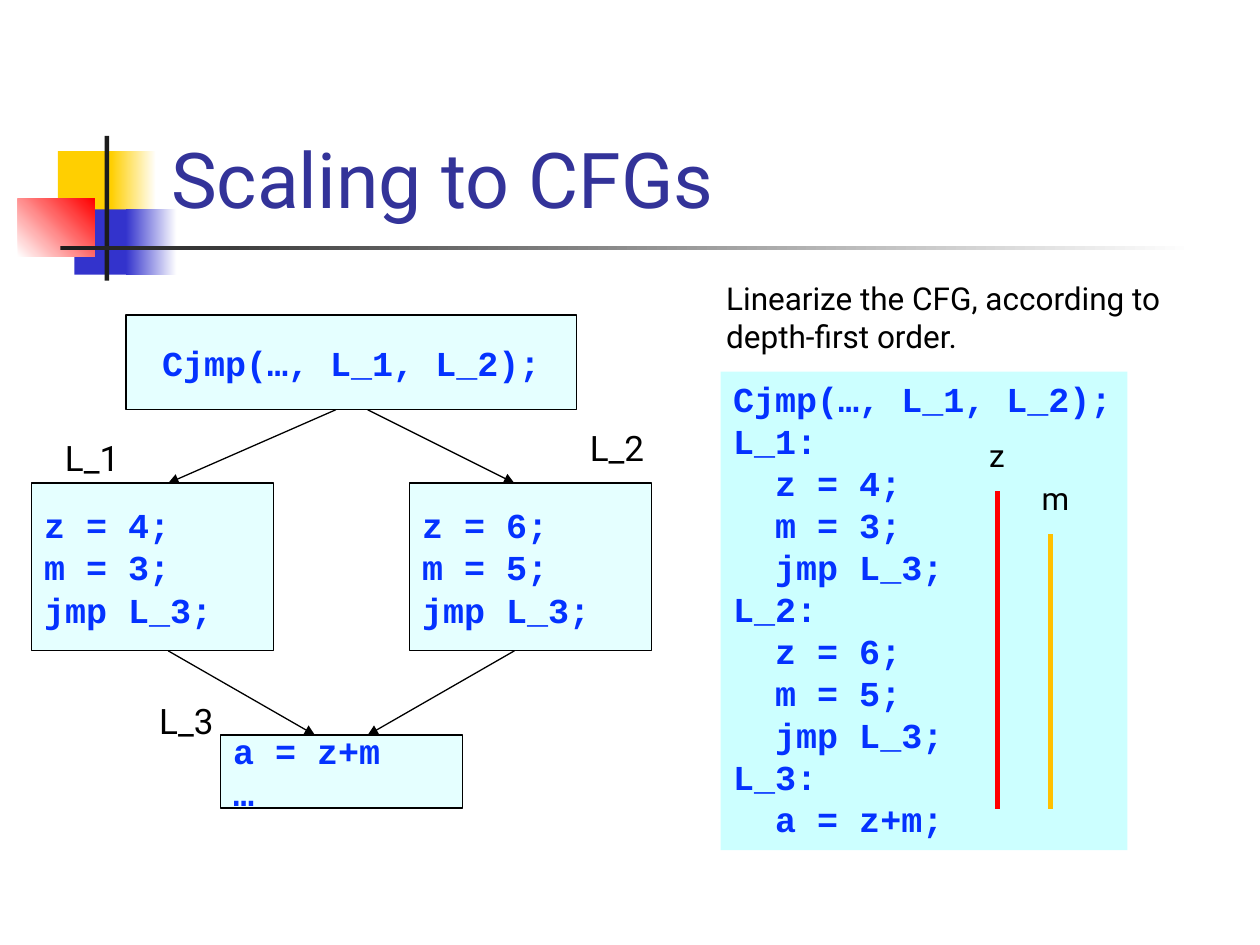
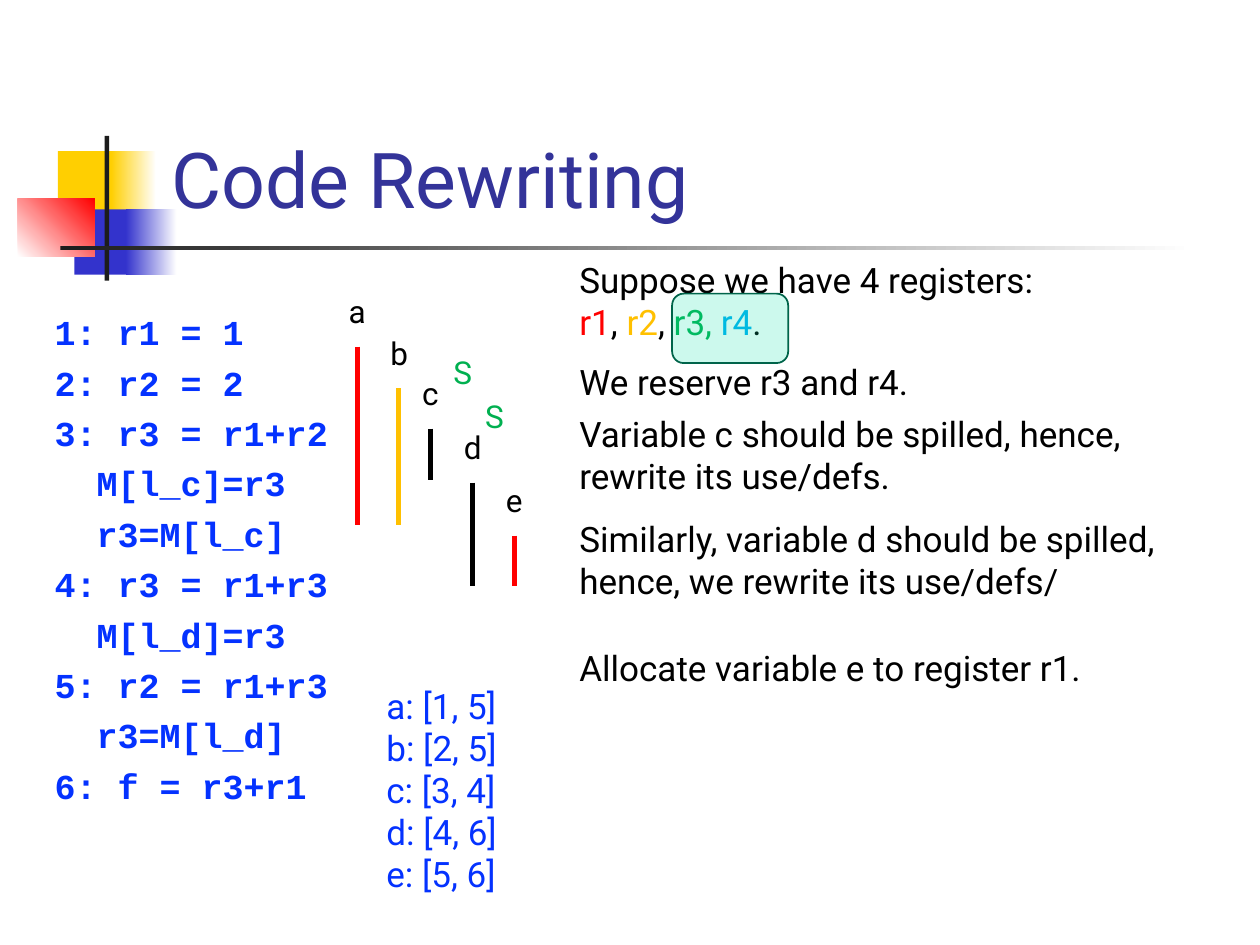
from lxml import etree
from pptx import Presentation
from pptx.dml.color import RGBColor
from pptx.enum.shapes import MSO_CONNECTOR, MSO_SHAPE
from pptx.enum.text import MSO_ANCHOR, PP_ALIGN
from pptx.oxml.ns import qn
from pptx.util import Cm, Pt

RECTANGLE = MSO_SHAPE.RECTANGLE
ROUNDED = MSO_SHAPE.ROUNDED_RECTANGLE
STRAIGHT = MSO_CONNECTOR.STRAIGHT
TOP, MIDDLE, BOTTOM = MSO_ANCHOR.TOP, MSO_ANCHOR.MIDDLE, MSO_ANCHOR.BOTTOM
LEFT, CENTER = PP_ALIGN.LEFT, PP_ALIGN.CENTER

BLACK = RGBColor(0x00, 0x00, 0x00)
WHITE = RGBColor(0xFF, 0xFF, 0xFF)
CHARCOAL = RGBColor(0x1C, 0x1C, 0x1C)
YELLOW = RGBColor(0xFF, 0xCF, 0x01)
BLUE = RGBColor(0x33, 0x33, 0xCC)
RED = RGBColor(0xFF, 0x00, 0x00)
TITLE_BLUE = RGBColor(0x33, 0x33, 0x99)
CODE_BLUE = RGBColor(0x04, 0x32, 0xFF)
PALE_CYAN = RGBColor(0xCC, 0xFF, 0xFF)
AMBER = RGBColor(0xFF, 0xC0, 0x00)
GREEN = RGBColor(0x00, 0xB0, 0x50)
SKY = RGBColor(0x00, 0xB0, 0xF0)
MINT = RGBColor(0x00, 0xE4, 0xA8)
DARK_GREEN = RGBColor(0x00, 0x64, 0x4A)

TITLE = {"name": "Roboto", "size": Pt(44)}
BODY = {"name": "Roboto", "size": Pt(20)}
SMALL = {"name": "Roboto", "size": Pt(18)}
CODE = {"name": "Courier New", "size": Pt(20), "bold": True}


def write_text(shape, lines, font_format, color, anchor=TOP, alignment=LEFT, gap=0):
    """Fill a shape with lines; a line is a string or a list of (text, color) runs."""
    frame = shape.text_frame
    frame.word_wrap = True
    frame.vertical_anchor = anchor
    for index, line in enumerate(lines):
        paragraph = frame.add_paragraph() if index else frame.paragraphs[0]
        paragraph.alignment = alignment
        if index and gap:
            paragraph.space_before = Pt(gap)
        for text, run_color in [(line, color)] if isinstance(line, str) else line:
            run = paragraph.add_run()
            run.text = text
            run.font.color.rgb = run_color
            for name, value in font_format.items():
                setattr(run.font, name, value)


def add_line(slide, start, end, color, width, arrow=False):
    line = slide.shapes.add_connector(STRAIGHT, *map(Cm, start + end))
    line.line.color.rgb = color
    line.line.width = Pt(width)
    properties = line._element.spPr
    if arrow:
        etree.SubElement(properties.find(qn("a:ln")), qn("a:tailEnd"), type="triangle")
    etree.SubElement(properties, qn("a:effectLst"))


presentation = Presentation()
presentation.slide_width = Cm(25.4)
presentation.slide_height = Cm(19.05)

# Title and ornament shared by both slides: box, start colour, end colour, angle
ornament = [
    ((1.17, 3.05, 1.22, 1.32), YELLOW, None, 0),
    ((2.24, 3.05, 0.91, 1.32), YELLOW, WHITE, 0),
    ((1.5, 4.22, 1.17, 1.32), BLUE, None, 0),
    ((2.54, 4.22, 1.02, 1.32), BLUE, WHITE, 0),
    ((0.36, 4.01, 1.55, 1.17), WHITE, RED, 45),
    ((2.11, 2.74, 0.09, 2.92), CHARCOAL, None, 0),
    ((1.22, 4.95, 22.86, 0.09), CHARCOAL, WHITE, 0),
]
slides = []
for title in ("Scaling to CFGs", "Code Rewriting"):
    slide = presentation.slides.add_slide(presentation.slide_layouts[6])
    slides.append(slide)
    for box, start_color, end_color, angle in ornament:
        shape = slide.shapes.add_shape(RECTANGLE, *map(Cm, box))
        shape.shadow.inherit = False
        shape.line.fill.background()
        if end_color is None:
            shape.fill.solid()
            shape.fill.fore_color.rgb = start_color
            continue
        shape.fill.gradient()
        shape.fill.gradient_angle = angle
        stops = shape.fill.gradient_stops
        for stop, color, position in zip(stops, (start_color, end_color), (0, 1)):
            stop.color.rgb = color
            stop.position = position
    title_box = slide.shapes.add_textbox(Cm(3.2), Cm(0.58), Cm(21.64), Cm(4.06))
    write_text(title_box, [title], TITLE, TITLE_BLUE, BOTTOM)
cfg_slide, rewriting_slide = slides

# Plain text: slide, box, lines, format, colour, gap between lines
rewritten_code = [
    "1: r1 = 1",
    "2: r2 = 2",
    "3: r3 = r1+r2",
    "  M[l_c]=r3",
    "  r3=M[l_c]",
    "4: r3 = r1+r3",
    "  M[l_d]=r3",
    "5: r2 = r1+r3",
    "  r3=M[l_d]",
    "6: f = r3+r1",
]
intervals = ["a: [1, 5]", "b: [2, 5]", "c: [3, 4]", "d: [4, 6]", "e: [5, 6]"]
registers = [("r1", RED), (", ", BLACK), ("r2", AMBER), (", ", BLACK),
             ("r3, ", GREEN), ("r4", SKY), (".", BLACK)]
texts = [
    (cfg_slide, (14.39, 5.5, 10.44, 1.8),
     ["Linearize the CFG, according to depth-first order."], SMALL, BLACK, 0),
    (rewriting_slide, (0.85, 6.14, 6.35, 10.41), rewritten_code, CODE, CODE_BLUE, 4.8),
    (rewriting_slide, (7.54, 13.67, 13.41, 4.52), intervals, BODY, CODE_BLUE, 0),
]
for label, left, top in (("L_1", 1.06, 8.68), ("L_2", 11.64, 8.47), ("L_3", 2.96, 13.97)):
    texts.append((cfg_slide, (left, top, 1.91, 1.09), [label], BODY, BLACK, 0))
for left, top in ((8.89, 6.99), (9.53, 7.87)):
    texts.append((rewriting_slide, (left, top, 1.27, 1.02), ["S"], SMALL, GREEN, 0))
for top, height, lines in (
    (5.08, 1.96, ["Suppose we have 4 registers:", registers]),
    (7.14, 1.12, ["We reserve r3 and r4."]),
    (8.2, 1.96, ["Variable c should be spilled, hence, rewrite its use/defs."]),
    (10.31, 1.96, ["Similarly, variable d should be spilled, hence, we rewrite its use/defs/"]),
    (12.9, 1.12, ["Allocate variable e to register r1."]),
):
    texts.append((rewriting_slide, (11.43, top, 13.41, height), lines, BODY, BLACK, 0))
for slide, box, lines, font_format, color, gap in texts:
    text_box = slide.shapes.add_textbox(*map(Cm, box))
    write_text(text_box, lines, font_format, color, gap=gap)

# Panels: slide, kind, box, fill, opacity in percent, outline, lines, anchor, alignment
linear_code = [
    "Cjmp(…, L_1, L_2);",
    "L_1:",
    "  z = 4;",
    "  m = 3;",
    "  jmp L_3;",
    "L_2:",
    "  z = 6;",
    "  m = 5;",
    "  jmp L_3;",
    "L_3:",
    "  a = z+m;",
]
panels = [
    (cfg_slide, RECTANGLE, (14.53, 7.49, 8.2, 9.65), PALE_CYAN, 100, None,
     linear_code, TOP, LEFT),
    (rewriting_slide, ROUNDED, (13.55, 5.92, 2.34, 1.4), MINT, 20, (DARK_GREEN, 1),
     [], MIDDLE, LEFT),
]
for box, lines, alignment in (
    ((2.54, 6.35, 9.09, 1.91), ["Cjmp(…, L_1, L_2);"], CENTER),
    ((0.64, 9.74, 4.87, 3.38), ["z = 4;", "m = 3;", "jmp L_3;"], LEFT),
    ((8.26, 9.74, 4.87, 3.38), ["z = 6;", "m = 5;", "jmp L_3;"], LEFT),
    ((4.45, 14.82, 4.87, 1.47), ["a = z+m", "…"], LEFT),
):
    panels.append((cfg_slide, RECTANGLE, box, PALE_CYAN, 50, (BLACK, 0.75),
                   lines, MIDDLE, alignment))
for slide, kind, box, fill, opacity, outline, lines, anchor, alignment in panels:
    panel = slide.shapes.add_shape(kind, *map(Cm, box))
    panel.shadow.inherit = False
    panel.fill.solid()
    panel.fill.fore_color.rgb = fill
    if opacity < 100:
        color_element = panel._element.spPr.find(qn("a:solidFill"))[0]
        etree.SubElement(color_element, qn("a:alpha"), val=str(opacity * 1000))
    if outline:
        panel.line.color.rgb = outline[0]
        panel.line.width = Pt(outline[1])
    else:
        panel.line.fill.background()
    write_text(panel, lines, CODE, CODE_BLUE, anchor, alignment)

# Control flow between the blocks
for start, end in (
    ((6.77, 8.26), (3.39, 9.74)),
    ((7.41, 8.26), (10.37, 9.74)),
    ((3.39, 13.12), (6.35, 14.82)),
    ((10.37, 13.12), (7.41, 14.82)),
):
    add_line(cfg_slide, start, end, BLACK, 0.75, arrow=True)

# Live ranges, each with its variable name above the bar
for slide, variable, x, top, bottom, color in (
    (cfg_slide, "z", 20.11, 9.9, 16.3, RED),
    (cfg_slide, "m", 21.17, 10.77, 16.3, AMBER),
    (rewriting_slide, "a", 7.2, 6.99, 10.58, RED),
    (rewriting_slide, "b", 8.04, 7.83, 10.58, AMBER),
    (rewriting_slide, "c", 8.68, 8.64, 9.68, BLACK),
    (rewriting_slide, "d", 9.52, 9.73, 11.81, BLACK),
    (rewriting_slide, "e", 10.37, 10.8, 11.81, RED),
):
    add_line(slide, (x, top), (x, bottom), color, 3)
    name_box = slide.shapes.add_textbox(Cm(x - 0.42), Cm(top - 1.23), Cm(1.27), Cm(1.02))
    write_text(name_box, [variable], SMALL, BLACK)

presentation.save("out.pptx")
